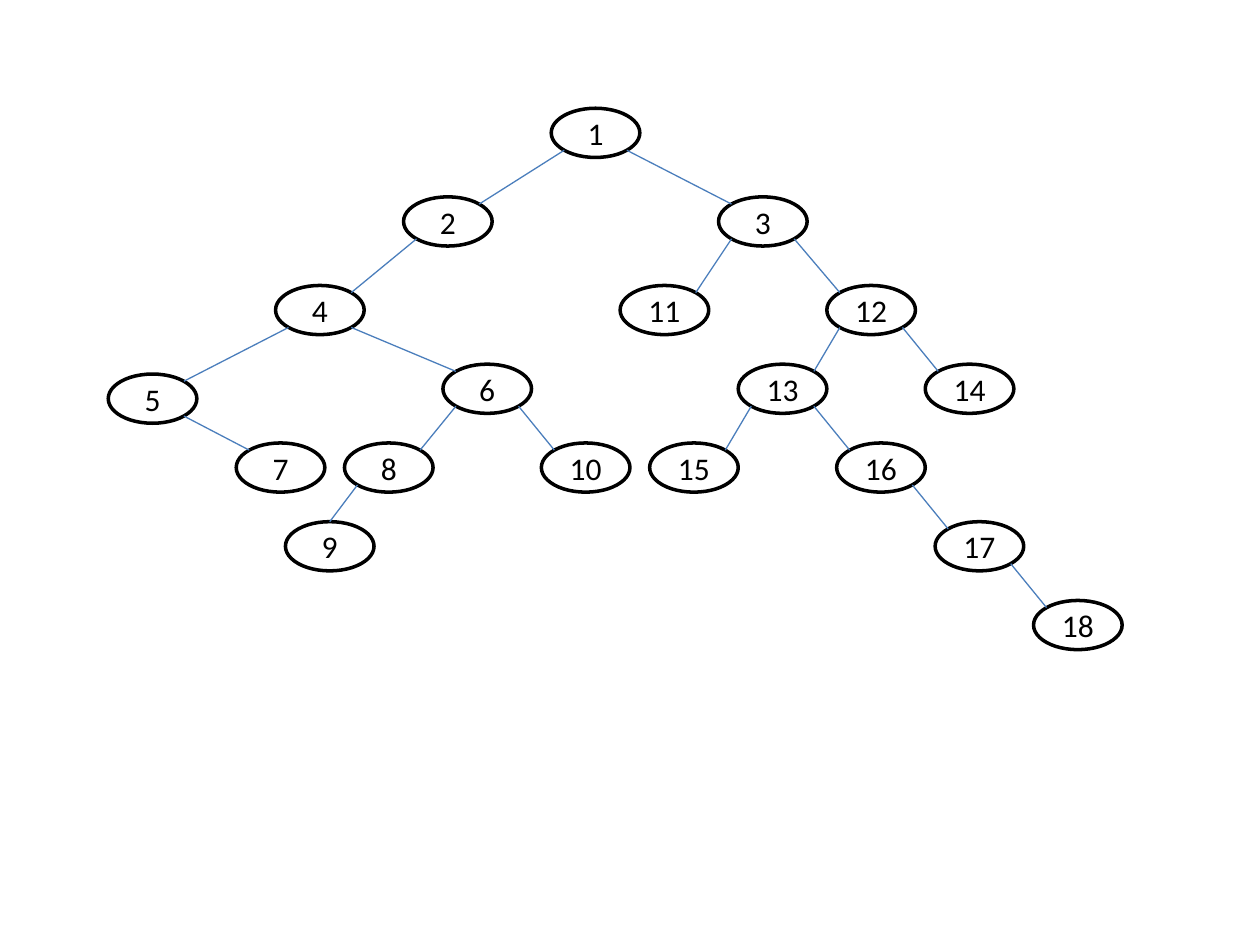
from dataclasses import dataclass
from math import sqrt

from lxml import etree
from pptx import Presentation
from pptx.dml.color import RGBColor
from pptx.enum.shapes import MSO_CONNECTOR, MSO_SHAPE
from pptx.enum.text import MSO_ANCHOR, PP_ALIGN
from pptx.oxml.ns import qn
from pptx.util import Inches, Pt

ELLIPSE = MSO_SHAPE.OVAL
STRAIGHT = MSO_CONNECTOR.STRAIGHT
MIDDLE = MSO_ANCHOR.MIDDLE
CENTER = PP_ALIGN.CENTER


@dataclass(frozen=True)
class Theme:
    font: str = "Calibri"
    size: int = 18
    text: RGBColor = RGBColor.from_string("000000")
    fill: RGBColor = RGBColor.from_string("FFFFFF")
    outline: RGBColor = RGBColor.from_string("000000")
    outline_width: float = 2
    edge: RGBColor = RGBColor.from_string("4B7EBC")
    edge_width: float = 0.75


THEME = Theme()
SLIDE_W, SLIDE_H = Inches(10), Inches(7.5)
UNIT = SLIDE_W / 128  # square grid of 128 columns by 96 rows
NODE_W, NODE_H = 9, 5  # in grid units

# Node number: (column, row) of its top left corner
NODES = {
    1: (56, 11),
    2: (41, 20), 3: (73, 20),
    4: (28, 29), 11: (63, 29), 12: (84, 29),
    5: (11, 38), 6: (45, 37), 13: (75, 37), 14: (94, 37),
    7: (24, 45), 8: (35, 45), 10: (55, 45), 15: (66, 45), 16: (85, 45),
    9: (29, 53), 17: (95, 53),
    18: (105, 61),
}

# Parent: (left child, right child)
CHILDREN = {
    1: (2, 3), 2: (4, None), 3: (11, 12), 4: (5, 6),
    5: (None, 7), 6: (8, 10), 8: (9, None), 12: (13, 14),
    13: (15, 16), 16: (None, 17), 17: (None, 18),
}
TOP_ENTRY = {9}  # nodes whose edge arrives at the top centre


def grid(units):
    return round(units * UNIT)


def rim_point(node, dx, dy):
    """Point on a node's rim; dx and dy run from -1 to 1 about its centre."""
    col, row = NODES[node]
    return (grid(col + NODE_W / 2 * (1 + dx)),
            grid(row + NODE_H / 2 * (1 + dy)))


def add_node(slide, number):
    col, row = NODES[number]
    s = slide.shapes.add_shape(ELLIPSE, grid(col), grid(row),
                               grid(NODE_W), grid(NODE_H))
    s.shadow.inherit = False
    s.fill.solid()
    s.fill.fore_color.rgb = THEME.fill
    s.line.color.rgb = THEME.outline
    s.line.width = Pt(THEME.outline_width)
    tf = s.text_frame
    tf.text = str(number)
    tf.vertical_anchor = MIDDLE
    p = tf.paragraphs[0]
    p.alignment = CENTER
    font = p.runs[0].font
    font.name = THEME.font
    font.size = Pt(THEME.size)
    font.color.rgb = THEME.text


def add_edge(slide, parent, child, side):
    """Join parent to child; side is -1 for a left child, 1 for a right one."""
    diagonal = 1 / sqrt(2)
    start = rim_point(parent, side * diagonal, diagonal)
    if child in TOP_ENTRY:
        end = rim_point(child, 0, -1)
    else:
        end = rim_point(child, -side * diagonal, -diagonal)
    line = slide.shapes.add_connector(STRAIGHT, *start, *end)
    line.line.color.rgb = THEME.edge
    line.line.width = Pt(THEME.edge_width)
    etree.SubElement(line._element.spPr, qn("a:effectLst"))


def main():
    prs = Presentation()
    prs.slide_width, prs.slide_height = SLIDE_W, SLIDE_H
    slide = prs.slides.add_slide(prs.slide_layouts[6])

    # Tree nodes
    for number in NODES:
        add_node(slide, number)

    # Tree edges
    for parent, children in CHILDREN.items():
        for side, child in zip((-1, 1), children):
            if child:
                add_edge(slide, parent, child, side)

    prs.save("out.pptx")


if __name__ == "__main__":
    main()
